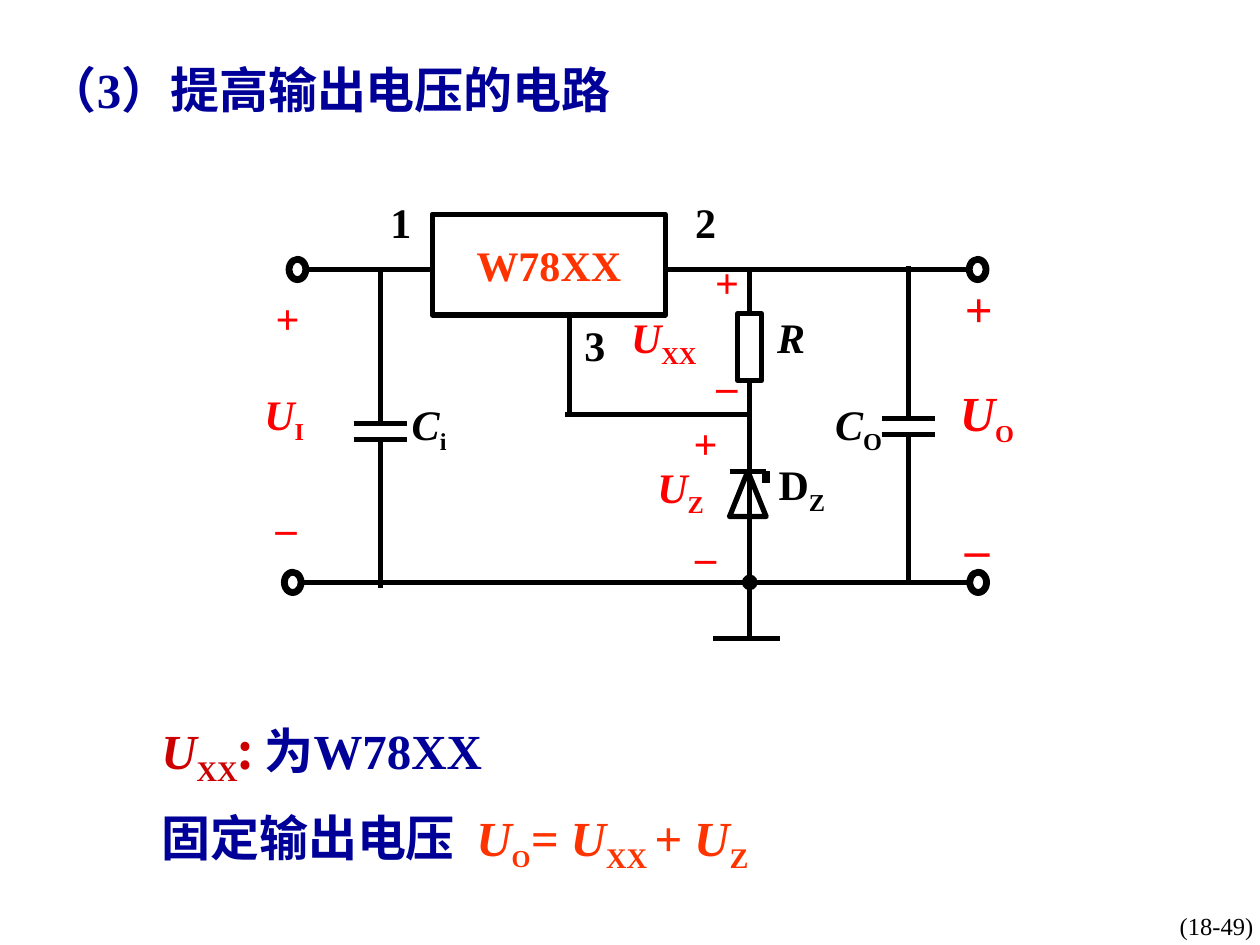
import dataclasses

import lxml.etree
import pptx
import pptx.dml.color
import pptx.enum.shapes
import pptx.enum.text
import pptx.oxml.ns
import pptx.util

Pt = pptx.util.Pt
Shape = pptx.enum.shapes.MSO_SHAPE
Align = pptx.enum.text.PP_ALIGN
Anchor = pptx.enum.text.MSO_ANCHOR


@dataclasses.dataclass(frozen=True)
class Theme:
    latin: str = "Times New Roman"
    asian: str = "Noto Sans CJK SC"
    ink: str = "000000"
    navy: str = "000099"
    red: str = "FF0000"
    crimson: str = "CC0000"
    orange: str = "FF3300"
    large: float = 28
    medium: float = 24
    small: float = 14
    wire: float = 3
    thick: float = 4.5


THEME = Theme()


def rgb(value):
    return pptx.dml.color.RGBColor.from_string(value)


def add_xml(parent, tag, **attrs):
    return lxml.etree.SubElement(parent, pptx.oxml.ns.qn(tag), attrs)


def run(text, color, size=THEME.medium, sub=False, **font):
    return text, color, size, sub, {"bold": True, **font}


def symbol(name, sub, color, size=THEME.medium, sub_size=None, italic=True):
    """Runs for a letter with a subscript."""
    return [run(name, color, size, italic=italic),
            run(sub, color, sub_size or size, sub=True)]


class Slide:
    def __init__(self, prs, layout, theme):
        self.s = prs.slides.add_slide(layout)
        self.theme = theme

    def fill_paragraph(self, p, runs, **fmt):
        for key, value in fmt.items():
            setattr(p, key, value)
        for text, color, size, sub, font in runs:
            r = p.add_run()
            r.text = text
            values = {"name": self.theme.latin, "size": Pt(size), **font}
            for key, value in values.items():
                setattr(r.font, key, value)
            r.font.color.rgb = rgb(color)
            rPr = r._r.get_or_add_rPr()
            rPr.find(pptx.oxml.ns.qn("a:latin")).addnext(
                add_xml(rPr, "a:ea", typeface=self.theme.asian))
            if sub:
                rPr.set("baseline", "-25000")

    def label(self, x, y, w, h, runs, anchor=Anchor.TOP, **fmt):
        sp = self.s.shapes.add_textbox(Pt(x), Pt(y), Pt(w), Pt(h))
        tf = sp.text_frame
        tf.word_wrap = True
        tf.vertical_anchor = anchor
        self.fill_paragraph(tf.paragraphs[0], runs, **fmt)
        return tf

    def polarity(self, x, y, w, h, gap, size=THEME.medium, spacing=1.0,
                 minus_spacing=None, align=Align.LEFT):
        """A plus sign above a minus sign, gap points apart."""
        tf = self.label(x, y, w, h, [run("+", self.theme.red, size)],
                        line_spacing=spacing, alignment=align)
        self.fill_paragraph(tf.add_paragraph(),
                            [run("_", self.theme.red, size)],
                            line_spacing=minus_spacing or spacing,
                            alignment=align, space_before=Pt(gap))

    def place(self, sp, x, y, w, h):
        box = {"left": x, "top": y, "width": w, "height": h}
        for key, value in box.items():
            setattr(sp, key, Pt(value))
        tf = sp.text_frame
        tf.word_wrap = True
        tf.auto_size = pptx.enum.text.MSO_AUTO_SIZE.NONE
        tf.vertical_anchor = Anchor.TOP
        return tf

    def title(self, x, y, w, h, runs):
        tf = self.place(self.s.shapes.title, x, y, w, h)
        self.fill_paragraph(tf.paragraphs[0], runs, alignment=Align.LEFT)

    def body(self, x, y, w, h, lines, tab):
        tf = self.place(self.s.placeholders[1], x, y, w, h)
        for i, runs in enumerate(lines):
            p = tf.add_paragraph() if i else tf.paragraphs[0]
            pPr = p._p.get_or_add_pPr()
            pPr.set("marL", "0")
            pPr.set("indent", "0")
            add_xml(pPr, "a:buNone")
            tabs = add_xml(pPr, "a:tabLst")
            add_xml(tabs, "a:tab", pos=str(Pt(tab)), algn="l")
            self.fill_paragraph(p, runs, line_spacing=1.3, space_before=Pt(0))

    def outline(self, kind, x, y, w, h):
        sp = self.s.shapes.add_shape(kind, Pt(x), Pt(y), Pt(w), Pt(h))
        sp.shadow.inherit = False
        sp.fill.background()
        sp.line.color.rgb = rgb(self.theme.ink)
        sp.line.width = Pt(self.theme.wire)
        return sp

    def wire(self, x1, y1, x2, y2, width=THEME.wire, dot=False):
        cx = self.s.shapes.add_connector(
            pptx.enum.shapes.MSO_CONNECTOR.STRAIGHT,
            Pt(x1), Pt(y1), Pt(x2), Pt(y2))
        cx.line.color.rgb = rgb(self.theme.ink)
        cx.line.width = Pt(width)
        spPr = cx._element.spPr
        if dot:
            add_xml(spPr.find(pptx.oxml.ns.qn("a:ln")), "a:headEnd",
                    type="oval")
        add_xml(spPr, "a:effectLst")
        return cx

    def terminal(self, x, y):
        w, h = 10.5, 12.5
        sp = self.outline(Shape.DONUT, x - w / 2, y - h / 2, w, h)
        sp.adjustments[0] = 0.08

    def capacitor(self, x, top, bottom, plates):
        upper, lower = plates
        self.wire(x, top, x, upper - 1.5)
        self.wire(x, lower, x, bottom)
        for y in plates:
            self.wire(x - 15.3, y, x + 15.3, y)


def draw_circuit(s):
    t = s.theme
    top, bottom, tap, mid = 154, 332.8, 236.9, 428.4

    regulator = s.outline(Shape.RECTANGLE, 247, 122.4, 133.2, 57.6)
    tf = regulator.text_frame
    tf.word_wrap = False
    tf.vertical_anchor = Anchor.MIDDLE
    s.fill_paragraph(tf.paragraphs[0], [run("W78XX", t.orange)],
                     alignment=Align.CENTER)
    resistor = s.outline(Shape.RECTANGLE, mid - 6.8, 179.3, 13.6, 38.2)

    s.wire(175.7, top, 247, top)
    s.wire(380.2, top, 552.2, top)
    s.wire(173.5, bottom, 553.7, bottom)
    s.wire(325.4, 179.3, 325.4, tap)
    s.wire(322.6, tap, mid, tap)
    s.wire(mid, top, mid, 179.3).end_connect(resistor, 0)
    s.wire(mid, 217.5, mid, bottom).begin_connect(resistor, 2)
    s.wire(mid, bottom, mid, 365, dot=True)
    s.wire(407.5, 365, 445.7, 365)

    s.outline(Shape.ISOSCELES_TRIANGLE, 416.9, 269.3, 20.9, 25.9)
    s.wire(416.9, 269.3, 437.8, 269.3)
    s.wire(437.8, 269.3, 437.8, 275.8, t.thick)

    s.capacitor(217.4, top, 336.2, (242.2, 251.3))
    s.capacitor(519.1, 152, bottom, (239, 248.4))
    for x, y in ((170, top), (558.7, top), (167.3, bottom), (559, bottom)):
        s.terminal(x, y)


def label_circuit(s):
    t = s.theme
    labels = (
        (216, 108.7, 30, [run("1", t.ink)]),
        (390.2, 108.7, 42, [run("2", t.ink)]),
        (326.9, 179.3, 30, [run("3", t.ink)]),
        (437, 174.5, 54, [run("R", t.ink, italic=True)]),
        (228.2, 224, 73, symbol("C", "i", t.ink)),
        (470.2, 224, 50, symbol("C", "O", t.ink)),
        (437.8, 258.5, 60, symbol("D", "Z", t.ink, italic=False)),
        (144, 218.2, 59, symbol("U", "I", t.red)),
        (353.5, 174.5, 101.5, symbol("U", "XX", t.red)),
        (368.6, 260, 78.5, symbol("U", "Z", t.red)),
        (541.4, 215.3, 69, symbol("U", "O", t.red, t.large, t.medium)),
    )
    for x, y, w, runs in labels:
        s.label(x, y, w, 40, runs)
    s.polarity(150.5, 169.2, 45.4, 145.4, 88.3, spacing=0.8)
    s.polarity(544.3, 139, 53.3, 188.6, 83.7, t.large, 1.5, 1.3)
    s.polarity(380.2, 229, 46, 99.4, 22, spacing=1.2, align=Align.CENTER)
    s.polarity(392.4, 146.2, 46, 85, 24.8, spacing=0.9, align=Align.CENTER)


def main():
    prs = pptx.Presentation()
    prs.slide_width, prs.slide_height = Pt(720), Pt(540)
    t = THEME
    s = Slide(prs, prs.slide_layouts[1], t)
    s.title(20.2, 30.2, 459.4, 40.3, [
        run("（3）", t.navy, t.large),
        run("提高输出电压的电路", t.navy, t.large, name=t.asian)])
    s.body(85, 396.7, 516.2, 106.6, [
        symbol("U", "XX", t.crimson, t.large)
        + [run(": ", t.crimson, t.large, name=t.asian),
           run("为W78XX", t.navy, t.large)],
        [run("固定输出电压\t", t.navy, t.large)]
        + symbol("U", "O", t.orange, t.large, t.medium)
        + symbol("= U", "XX ", t.orange, t.large)
        + symbol("+ U", "Z", t.orange, t.large)], tab=238)
    draw_circuit(s)
    label_circuit(s)
    s.label(625.7, 517, 139, 23.8, [run("(18-49)", t.ink, t.small, bold=False)],
            Anchor.MIDDLE, alignment=Align.CENTER)
    prs.save("out.pptx")


if __name__ == "__main__":
    main()
